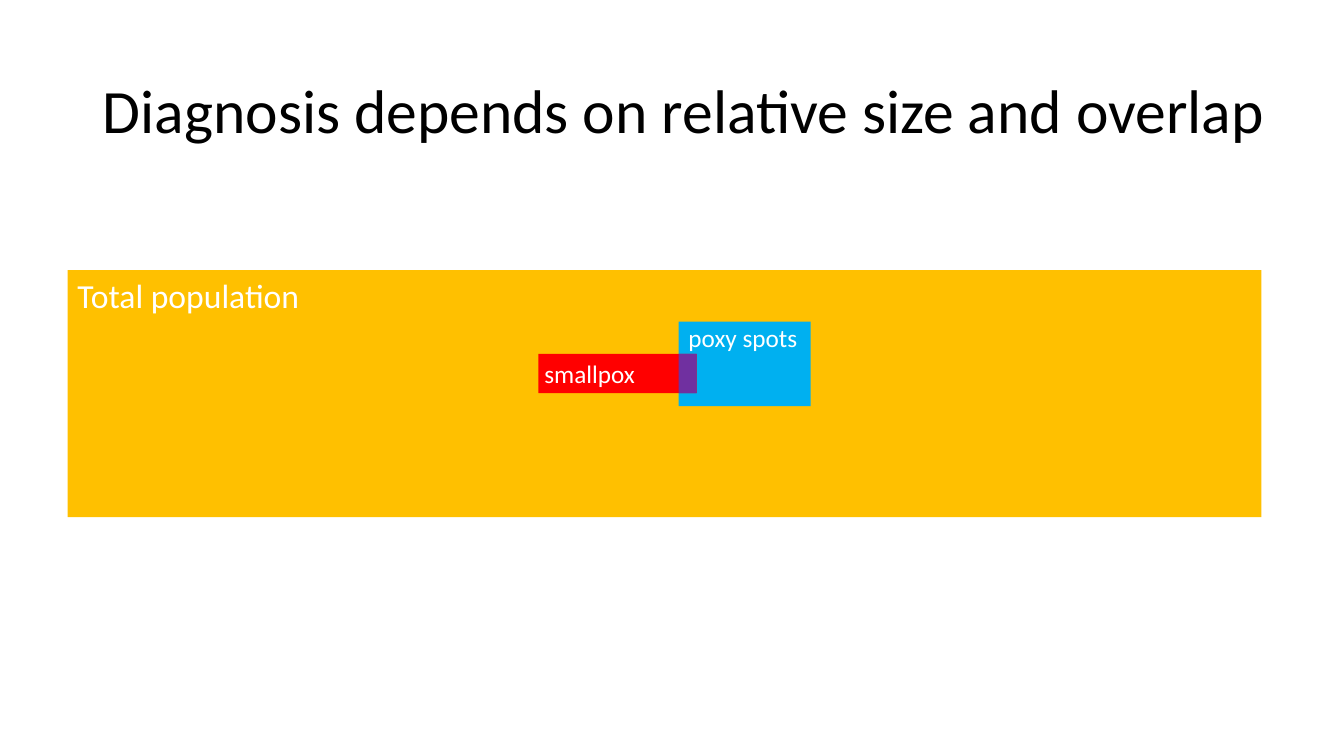
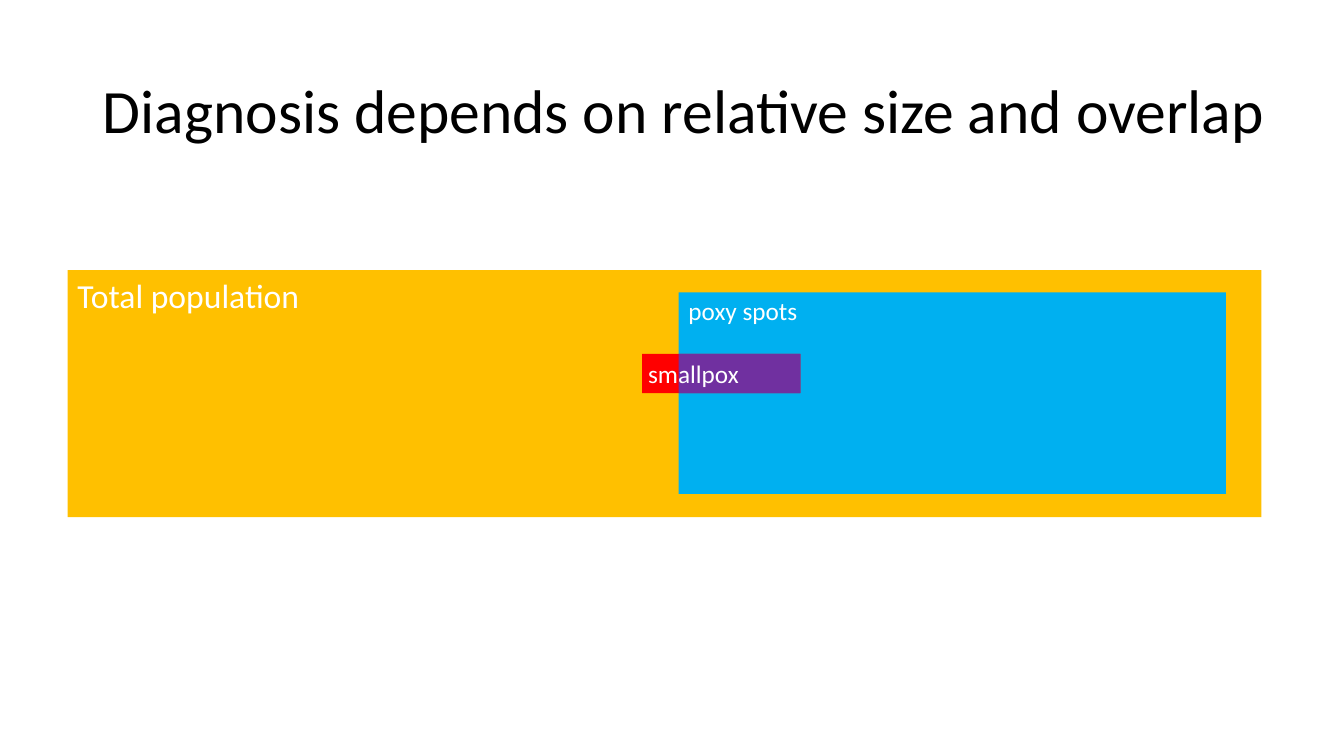
from pptx import Presentation
from pptx.dml.color import RGBColor
from pptx.enum import shapes, text
from pptx.util import Inches, Pt

POPULATION, SPOTS, SMALLPOX, OVERLAP = "FFC000", "00B0F0", "FF0000", "7030A0"
WHITE, BLACK = "FFFFFF", "000000"
TITLE = "Diagnosis depends on relative size and overlap"


def colour(hex_value):
    return RGBColor.from_string(hex_value)


class Deck:
    """Holds the shared style and the current slide."""

    font_name = "Calibri"

    def __init__(self):
        self.prs = Presentation()
        self.prs.slide_width, self.prs.slide_height = Inches(13.33), Inches(7.5)
        self.slide = None

    def set_text(self, frame, wording, size, hex_value, **frame_format):
        frame.text = wording
        frame_format = {"word_wrap": True, **frame_format}
        for name, value in frame_format.items():
            setattr(frame, name, value)
        paragraph = frame.paragraphs[0]
        paragraph.alignment = text.PP_ALIGN.LEFT
        font_format = {"name": self.font_name, "size": Pt(size)}
        for name, value in font_format.items():
            setattr(paragraph.font, name, value)
        paragraph.font.color.rgb = colour(hex_value)
        return paragraph

    def new_slide(self, heading):
        self.slide = self.prs.slides.add_slide(self.prs.slide_layouts[5])
        title = self.slide.shapes.title
        place = {"left": 0.92, "top": 0.4, "width": 11.74, "height": 1.45}
        for name, value in place.items():
            setattr(title, name, Inches(value))
        paragraph = self.set_text(title.text_frame, heading, 44, BLACK,
                                  vertical_anchor=text.MSO_ANCHOR.MIDDLE,
                                  auto_size=text.MSO_AUTO_SIZE.NONE)
        paragraph.line_spacing = 0.9

    def area(self, left, top, width, height, fill):
        rect = self.slide.shapes.add_shape(
            shapes.MSO_SHAPE.RECTANGLE, *map(Inches, (left, top, width, height)))
        rect.shadow.inherit = False
        rect.fill.solid()
        rect.fill.fore_color.rgb = colour(fill)
        rect.line.fill.background()

    def label(self, wording, left, top, width, height=0.4, size=18):
        box = self.slide.shapes.add_textbox(
            *map(Inches, (left, top, width, height)))
        self.set_text(box.text_frame, wording, size, WHITE,
                      auto_size=text.MSO_AUTO_SIZE.SHAPE_TO_FIT_TEXT)


def diagnosis_slide(deck, spots_top, spots_width, spots_height,
                    spots_label_top, smallpox_left):
    spots_left = 6.73
    smallpox_top, smallpox_width, smallpox_height = 3.51, 1.57, 0.39
    overlap_width = smallpox_left + smallpox_width - spots_left

    deck.new_slide(TITLE)
    # Whole population
    deck.area(0.67, 2.68, 11.84, 2.45, POPULATION)
    deck.label("Total population", 0.67, 2.68, 2.51, 0.5, 24)
    # People with spots
    deck.area(spots_left, spots_top, spots_width, spots_height, SPOTS)
    deck.label("poxy spots", spots_left, spots_label_top, 1.39)
    # People with smallpox, and those who have both
    deck.area(smallpox_left, smallpox_top, smallpox_width, smallpox_height, SMALLPOX)
    deck.area(spots_left, smallpox_top, overlap_width, smallpox_height, OVERLAP)
    deck.label("smallpox", smallpox_left - 0.04, smallpox_top, 1.15)


def main():
    deck = Deck()
    # Few people have spots, small overlap
    diagnosis_slide(deck, spots_top=3.19, spots_width=1.31, spots_height=0.84,
                    spots_label_top=3.15, smallpox_left=5.34)
    # Many people have spots, large overlap
    diagnosis_slide(deck, spots_top=2.9, spots_width=5.43, spots_height=2,
                    spots_label_top=2.88, smallpox_left=6.37)
    deck.prs.save("out.pptx")


if __name__ == "__main__":
    main()
